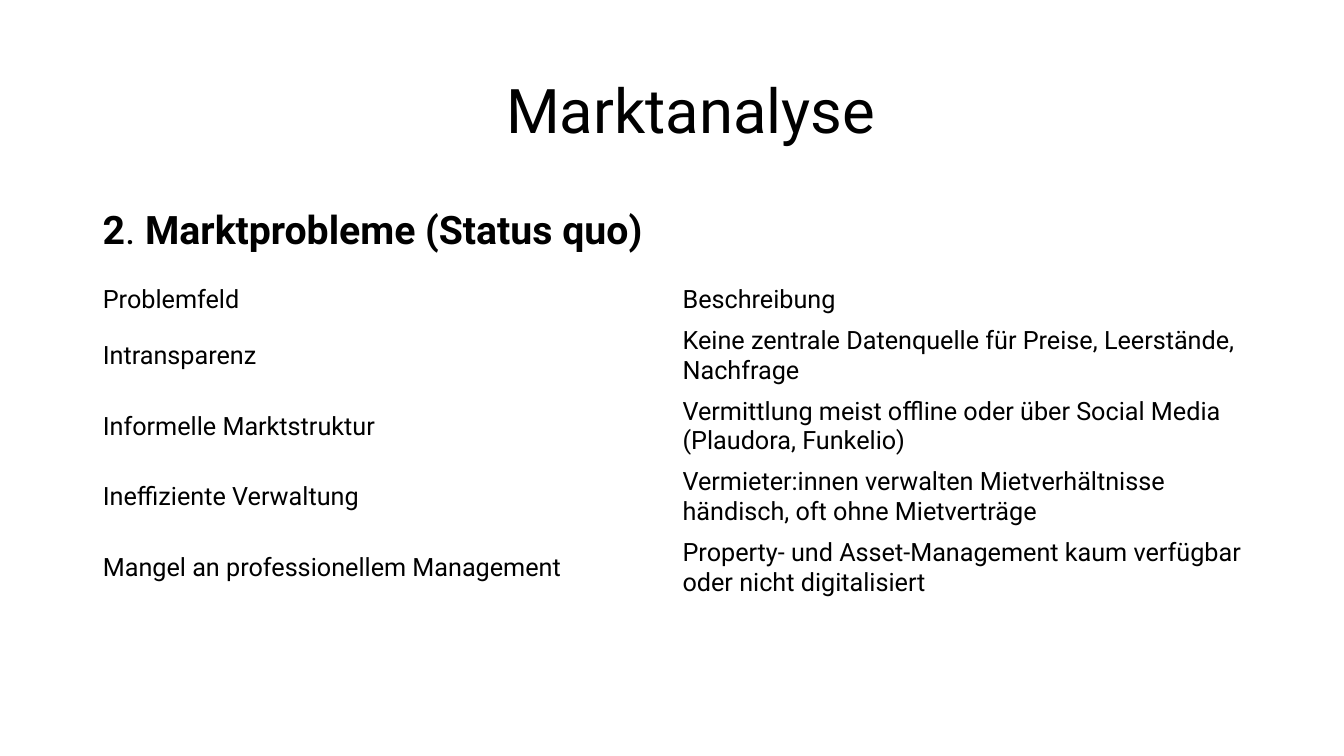
from pptx import Presentation
from pptx.dml.color import RGBColor
from pptx.enum.text import MSO_ANCHOR, PP_ALIGN
from pptx.util import Inches, Pt

MIDDLE = MSO_ANCHOR.MIDDLE
LEFT_ALIGN = PP_ALIGN.LEFT
BLACK = RGBColor(0, 0, 0)
FONT = "Roboto"

TITLE = "Marktanalyse"
HEADING = [("2", True), (". ", False), ("Marktprobleme (Status quo)", True)]
PROBLEMS = [
    ("Problemfeld", "Beschreibung"),
    ("Intransparenz", "Keine zentrale Datenquelle für Preise, Leerstände, Nachfrage"),
    ("Informelle Marktstruktur",
     "Vermittlung meist offline oder über Social Media (Plaudora, Funkelio)"),
    ("Ineffiziente Verwaltung",
     "Vermieter:innen verwalten Mietverhältnisse händisch, oft ohne Mietverträge"),
    ("Mangel an professionellem Management",
     "Property- und Asset-Management kaum verfügbar oder nicht digitalisiert"),
]

LEFT, WIDTH = Inches(0.92), Inches(11.5)
HEADER_HEIGHT, ROW_HEIGHT = Inches(0.39), Inches(0.69)


def set_font(p, size):
    p.font.name = FONT
    p.font.size = Pt(size)
    p.font.color.rgb = BLACK


def add_title(s):
    sp = s.shapes.title
    sp.left, sp.top, sp.width, sp.height = LEFT, Inches(0.4), WIDTH, Inches(1.45)
    tf = sp.text_frame
    tf.text = TITLE
    tf.vertical_anchor = MIDDLE
    tf.margin_left = Inches(4.1)
    p = tf.paragraphs[0]
    p.alignment = LEFT_ALIGN
    p.line_spacing = 0.9
    set_font(p, 44)


def add_heading(s):
    tf = s.shapes.add_textbox(LEFT, Inches(2.04), WIDTH, Inches(0.6)).text_frame
    tf.word_wrap = True
    p = tf.paragraphs[0]
    p.line_spacing = 0.9
    set_font(p, 28)
    for text, bold in HEADING:
        r = p.add_run()
        r.text = text
        r.font.bold = bold


def add_problem_table(s):
    height = HEADER_HEIGHT + ROW_HEIGHT * (len(PROBLEMS) - 1)
    table = s.shapes.add_table(len(PROBLEMS), 2, LEFT, Inches(2.78), WIDTH, height).table
    table.first_row = table.horz_banding = False
    for i, row in enumerate(PROBLEMS):
        table.rows[i].height = ROW_HEIGHT if i else HEADER_HEIGHT
        for j, text in enumerate(row):
            cell = table.cell(i, j)
            cell.fill.background()
            cell.vertical_anchor = MIDDLE
            cell.text = text
            set_font(cell.text_frame.paragraphs[0], 18)


def main():
    """Build the market analysis slide."""
    prs = Presentation()
    prs.slide_width, prs.slide_height = Inches(13.33), Inches(7.5)
    s = prs.slides.add_slide(prs.slide_layouts[5])
    add_title(s)
    add_heading(s)
    add_problem_table(s)
    prs.save("out.pptx")


if __name__ == "__main__":
    main()
